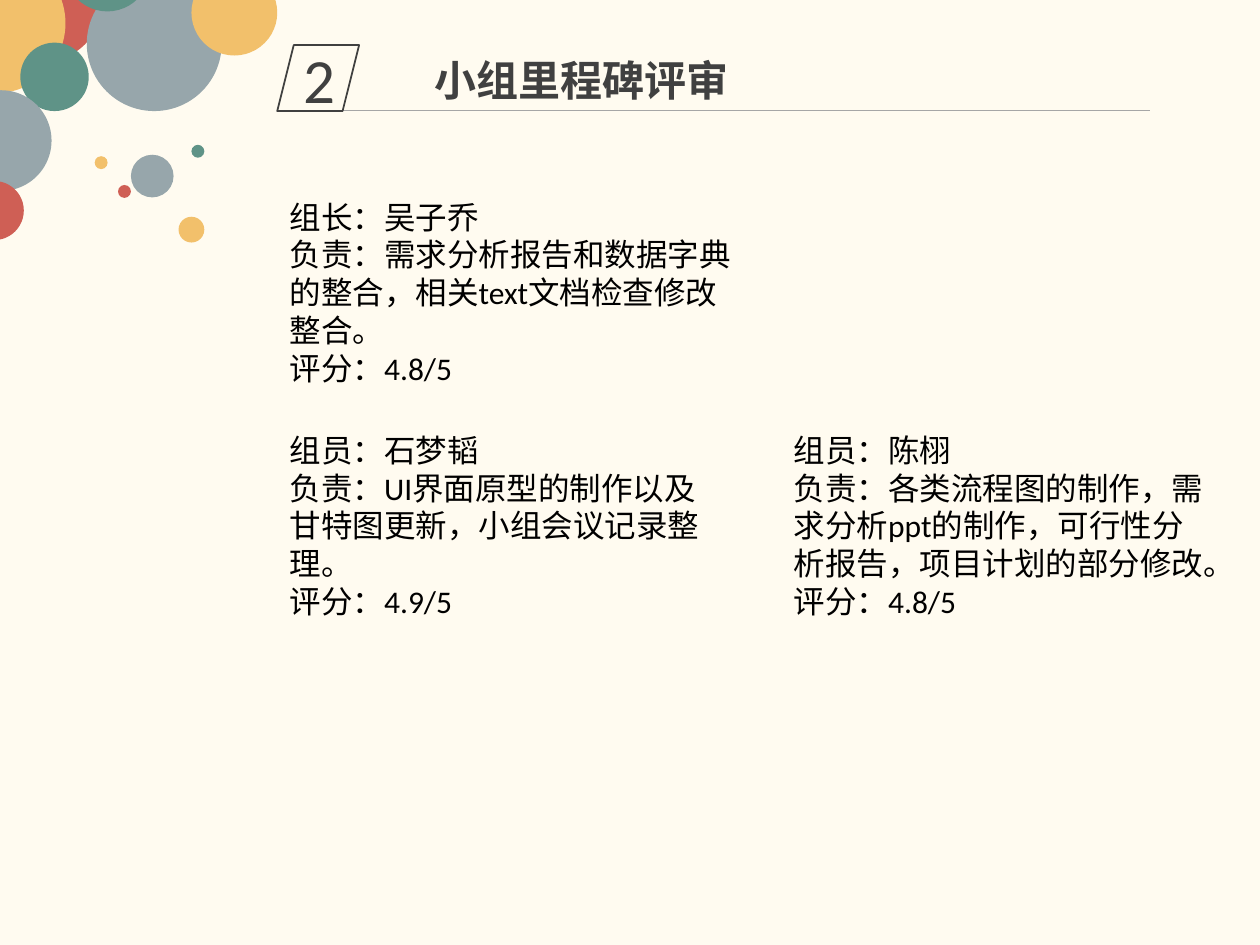
"""Build the team milestone review slide with its circle decoration."""
from lxml.etree import SubElement
from pptx import Presentation
from pptx.dml.color import RGBColor
from pptx.enum.shapes import MSO_CONNECTOR, MSO_SHAPE
from pptx.enum.text import MSO_ANCHOR, MSO_AUTO_SIZE, PP_ALIGN
from pptx.oxml.ns import qn
from pptx.util import Cm, Pt

CREAM = RGBColor(0xFF, 0xFB, 0xF0)
RED = RGBColor(0xCF, 0x5F, 0x55)
YELLOW = RGBColor(0xF2, 0xC0, 0x6B)
GREEN = RGBColor(0x5F, 0x93, 0x87)
GREY = RGBColor(0x97, 0xA6, 0xAB)
RULE_GREY = RGBColor(0xA6, 0xA6, 0xA6)
DARK = RGBColor(0x40, 0x40, 0x40)
BLACK = RGBColor(0, 0, 0)

LATIN_FONT = "Calibri"
CHINESE_FONT = "Noto Sans CJK SC"

SECTION_NUMBER = "2"
TITLE = "小组里程碑评审"

# left, top, diameter, colour
CIRCLES = [
    (-0.3, -1.12, 2.36, RED),
    (-1.5, -0.94, 2.82, YELLOW),
    (0.41, 0.86, 1.38, GREEN),
    (-0.99, 1.82, 2.03, GREY),
    (1.75, -0.48, 2.72, GREY),
    (1.3, -1.5, 1.73, GREEN),
    (-0.71, 3.65, 1.19, RED),
    (2.64, 3.12, 0.86, GREY),
    (2.38, 3.73, 0.26, RED),
    (1.91, 3.15, 0.26, YELLOW),
    (3.86, 2.92, 0.26, GREEN),
    (3.6, 4.37, 0.52, YELLOW),
    (3.86, -0.61, 1.73, YELLOW),
]

LEFT_COLUMN, RIGHT_COLUMN = 5.59, 15.75
TOP_ROW, BOTTOM_ROW = 3.86, 8.56

# left, top, width, height, lines
MEMBERS = [
    (LEFT_COLUMN, TOP_ROW, 9.5, 4.88, [
        "组长：吴子乔",
        "负责：需求分析报告和数据字典的整合，相关text文档检查修改整合。",
        "评分：4.8/5",
    ]),
    (LEFT_COLUMN, BOTTOM_ROW, 9.17, 4.88, [
        "组员：石梦韬",
        "负责：UI界面原型的制作以及甘特图更新，小组会议记录整理。",
        "评分：4.9/5",
    ]),
    (RIGHT_COLUMN, BOTTOM_ROW, 8.84, 4.11, [
        "组员：陈栩",
        "负责：各类流程图的制作，需求分析ppt的制作，可行性分析报告，项目计划的部分修改。",
        "评分：4.8/5",
    ]),
]


def format_text(text_frame, size, color, font=LATIN_FONT, bold=False, align=PP_ALIGN.LEFT):
    for paragraph in text_frame.paragraphs:
        paragraph.alignment = align
        for run in paragraph.runs:
            run.font.size = Pt(size)
            run.font.bold = bold
            run.font.color.rgb = color
            run.font.name = font
            east_asian = SubElement(run.font._element, qn("a:ea"))
            east_asian.set("typeface", CHINESE_FONT)


def add_circles(slide):
    group = slide.shapes.add_group_shape()
    for left, top, diameter, color in CIRCLES:
        circle = group.shapes.add_shape(
            MSO_SHAPE.OVAL, Cm(left), Cm(top), Cm(diameter), Cm(diameter))
        circle.shadow.inherit = False
        circle.fill.solid()
        circle.fill.fore_color.rgb = color
        circle.line.fill.background()


def add_header(slide):
    rule = slide.shapes.add_connector(
        MSO_CONNECTOR.STRAIGHT, Cm(6.81), Cm(2.23), Cm(23.19), Cm(2.23))
    rule.line.color.rgb = RULE_GREY
    rule.line.width = Pt(0.5)
    SubElement(rule._element.spPr, qn("a:effectLst"))

    badge = slide.shapes.add_shape(
        MSO_SHAPE.PARALLELOGRAM, Cm(5.59), Cm(0.91), Cm(1.65), Cm(1.33))
    badge.shadow.inherit = False
    badge.fill.background()
    badge.line.color.rgb = DARK
    badge.line.width = Pt(1)
    badge.text_frame.text = SECTION_NUMBER
    badge.text_frame.vertical_anchor = MSO_ANCHOR.MIDDLE
    format_text(badge.text_frame, 36, DARK, align=PP_ALIGN.CENTER)

    title = slide.shapes.title
    title.left, title.top, title.width, title.height = Cm(8.51), Cm(0.97), Cm(13.03), Cm(1.27)
    title.text_frame.text = TITLE
    title.text_frame.vertical_anchor = MSO_ANCHOR.TOP
    title.text_frame.auto_size = MSO_AUTO_SIZE.NONE
    format_text(title.text_frame, 24, DARK, CHINESE_FONT, bold=True)


def add_members(slide):
    for left, top, width, height, lines in MEMBERS:
        box = slide.shapes.add_textbox(Cm(left), Cm(top), Cm(width), Cm(height))
        box.text_frame.word_wrap = True
        box.text_frame.text = "\n".join(lines)
        format_text(box.text_frame, 18, BLACK)


def main():
    presentation = Presentation()
    presentation.slide_width, presentation.slide_height = Cm(25.4), Cm(19.05)
    slide = presentation.slides.add_slide(presentation.slide_layouts.get_by_name("Title Only"))
    slide.background.fill.solid()
    slide.background.fill.fore_color.rgb = CREAM
    add_circles(slide)
    add_header(slide)
    add_members(slide)
    presentation.save("out.pptx")


if __name__ == "__main__":
    main()
